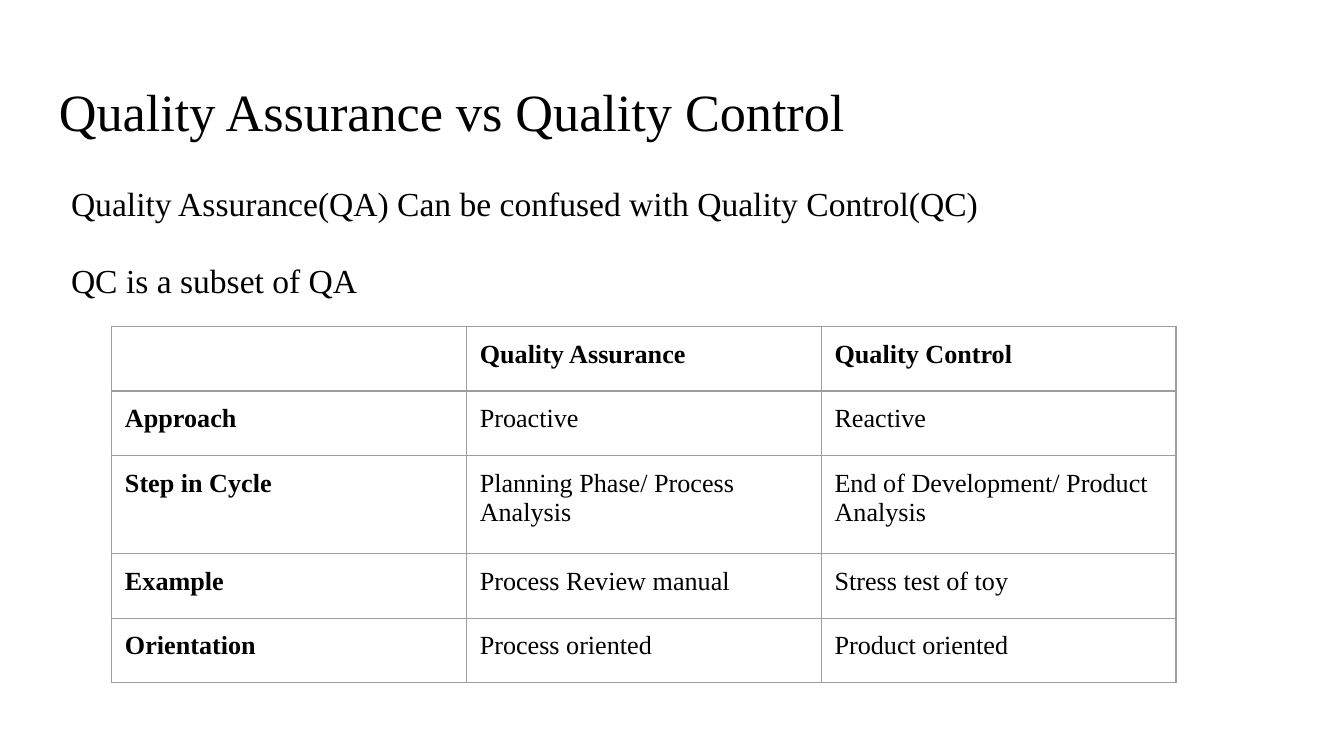
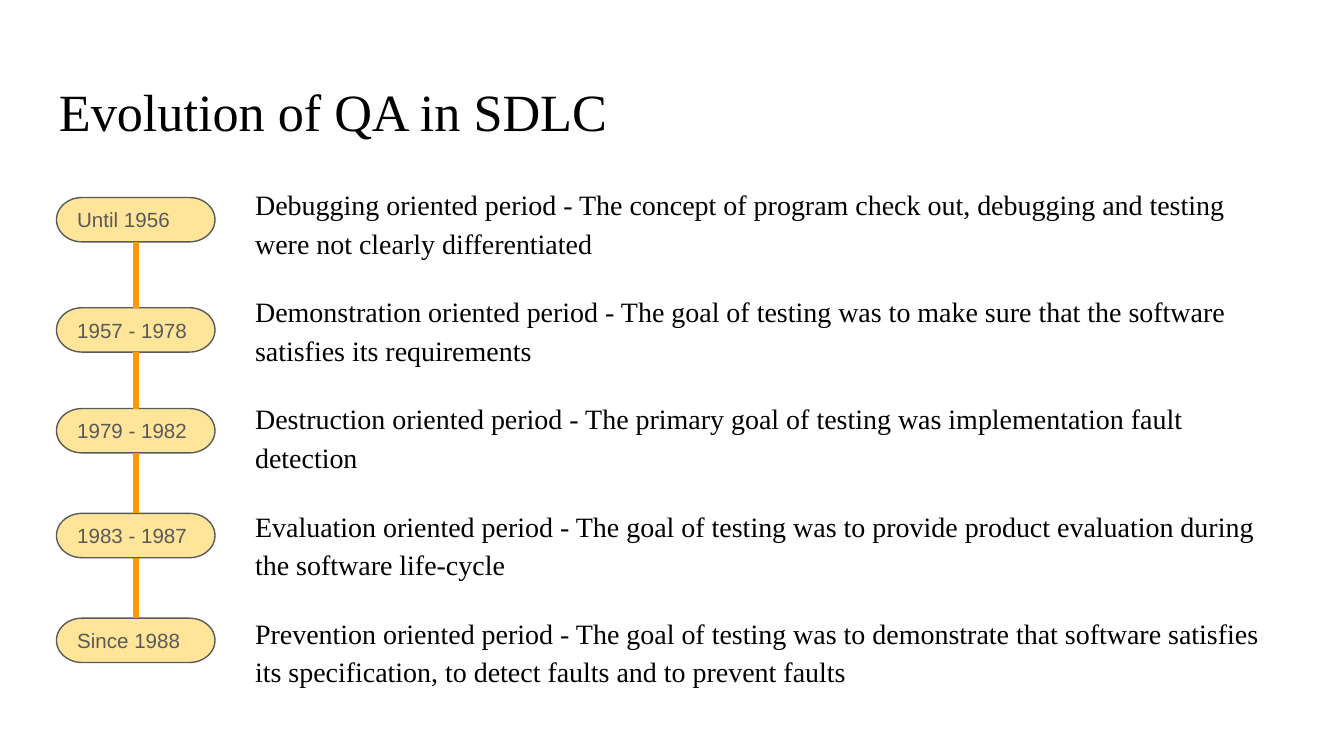
from dataclasses import dataclass
from itertools import pairwise
from lxml.etree import SubElement
from pptx import Presentation
from pptx.dml.color import RGBColor as RGB
from pptx.enum.shapes import MSO_CONNECTOR as CONNECTOR, MSO_SHAPE as SHAPE
from pptx.enum.text import MSO_ANCHOR as ANCHOR, PP_ALIGN as ALIGN
from pptx.oxml import parse_xml
from pptx.oxml.ns import nsdecls, qn
from pptx.util import Inches, Pt


@dataclass(frozen=True)
class Theme:
    serif: str = "Times New Roman"
    sans: str = "Arial"
    text: str = "000000"
    background: str = "FFFFFF"
    grid: str = "9E9E9E"
    badge: str = "FFE599"
    badge_ink: str = "595959"
    link: str = "FF9900"
    title_size: int = 28
    intro_size: int = 18
    period_size: int = 15
    cell_size: int = 14
    badge_size: int = 11
    thin: float = 0.75
    thick: float = 3
    inset: float = 0.1
    line_spacing: float = 1.15
    paragraph_gap: int = 16


THEME = Theme()

COMPARISON = {
    "title": "Quality Assurance vs Quality Control",
    "intro": [
        "Quality Assurance(QA) Can be confused with Quality Control(QC)",
        "QC is a subset of QA",
    ],
    "rows": [
        ("", "Quality Assurance", "Quality Control"),
        ("Approach", "Proactive", "Reactive"),
        ("Step in Cycle", "Planning Phase/ Process Analysis",
         "End of Development/ Product Analysis"),
        ("Example", "Process Review manual", "Stress test of toy"),
        ("Orientation", "Process oriented", "Product oriented"),
    ],
    "row_heights": [0.48, 0.48, 0.73, 0.48, 0.48],
}

EVOLUTION = {
    "title": "Evolution of QA in SDLC",
    "periods": [
        (1.47, "Until 1956", "Debugging oriented period - The concept of program check out, "
         "debugging and testing were not clearly differentiated"),
        (2.29, "1957 - 1978", "Demonstration oriented period - The goal of testing was to make "
         "sure that the software satisfies its requirements"),
        (3.04, "1979 - 1982", "Destruction oriented period - The primary goal of testing was "
         "implementation fault detection"),
        (3.82, "1983 - 1987", "Evaluation oriented period - The goal of testing was to provide "
         "product evaluation during the software life-cycle"),
        (4.60, "Since 1988", "Prevention oriented period - The goal of testing was to "
         "demonstrate that software satisfies its specification, to detect faults and to "
         "prevent faults"),
    ],
}


def set_insets(target):
    target.margin_left = target.margin_right = Inches(THEME.inset)
    target.margin_top = target.margin_bottom = Inches(THEME.inset)


def style_paragraph(paragraph, size, font=THEME.serif, color=THEME.text, bold=False):
    paragraph.alignment = ALIGN.LEFT
    for run in paragraph.runs:
        run.font.size = Pt(size)
        run.font.name = font
        run.font.bold = bold
        run.font.color.rgb = RGB.from_string(color)
    if not paragraph.runs:
        SubElement(paragraph._p, qn("a:endParaRPr"), sz=str(size * 100))


def add_text(slide, box, paragraphs, size, line_spacing=None):
    frame = slide.shapes.add_textbox(*map(Inches, box)).text_frame
    frame.word_wrap = True
    set_insets(frame)
    frame.text = "\n".join(paragraphs)
    for index, paragraph in enumerate(frame.paragraphs):
        style_paragraph(paragraph, size)
        if line_spacing:
            paragraph.line_spacing = line_spacing
        if index:
            paragraph.space_before = Pt(THEME.paragraph_gap)


def add_titled_slide(deck, title):
    slide = deck.slides.add_slide(deck.slide_layouts[6])
    slide.background.fill.solid()
    slide.background.fill.fore_color.rgb = RGB.from_string(THEME.background)
    add_text(slide, (0.34, 0.49, 9.32, 0.63), [title], THEME.title_size)
    return slide


def add_borders(cell):
    properties = cell._tc.get_or_add_tcPr()
    for index, side in enumerate(("lnL", "lnR", "lnT", "lnB")):
        properties.insert(index, parse_xml(
            f'<a:{side} {nsdecls("a")} w="{Pt(THEME.thin)}"><a:solidFill>'
            f'<a:srgbClr val="{THEME.grid}"/></a:solidFill></a:{side}>'))


def add_comparison_table(slide, left, top, column_width, rows, heights):
    width = column_width * len(rows[0])
    table = slide.shapes.add_table(
        len(rows), len(rows[0]),
        *map(Inches, (left, top, width, sum(heights)))).table
    table.first_row = table.horz_banding = False
    for column in table.columns:
        column.width = Inches(column_width)
    for r, (row, height) in enumerate(zip(rows, heights)):
        table.rows[r].height = Inches(height)
        for c, words in enumerate(row):
            cell = table.cell(r, c)
            cell.text = words
            set_insets(cell)
            cell.fill.background()
            add_borders(cell)
            style_paragraph(cell.text_frame.paragraphs[0], THEME.cell_size,
                            bold=r == 0 or c == 0)


def add_badge(slide, box, years):
    badge = slide.shapes.add_shape(SHAPE.FLOWCHART_TERMINATOR, *map(Inches, box))
    badge.shadow.inherit = False
    badge.fill.solid()
    badge.fill.fore_color.rgb = RGB.from_string(THEME.badge)
    badge.line.color.rgb = RGB.from_string(THEME.badge_ink)
    badge.line.width = Pt(THEME.thin)
    frame = badge.text_frame
    frame.word_wrap = True
    frame.vertical_anchor = ANCHOR.MIDDLE
    set_insets(frame)
    frame.text = years
    style_paragraph(frame.paragraphs[0], THEME.badge_size, THEME.sans, THEME.badge_ink)


def add_link(slide, x, start, end):
    link = slide.shapes.add_connector(
        CONNECTOR.STRAIGHT, *map(Inches, (x, start, x, end)))
    link.line.color.rgb = RGB.from_string(THEME.link)
    link.line.width = Pt(THEME.thick)
    SubElement(link._element.spPr, qn("a:effectLst"))


def add_timeline(slide, periods, left=0.42, width=1.18, height=0.33):
    for top, years, _ in periods:
        add_badge(slide, (left, top, width, height), years)
    for (top, *_), (next_top, *_) in pairwise(periods):
        add_link(slide, left + width / 2, top + height, next_top)


deck = Presentation()
deck.slide_width = Inches(10)
deck.slide_height = deck.slide_width * 9 // 16

comparison = add_titled_slide(deck, COMPARISON["title"])
add_text(comparison, (0.43, 1.22, 9.32, 3.74), COMPARISON["intro"],
         THEME.intro_size, THEME.line_spacing)
add_comparison_table(comparison, 0.83, 2.43, 2.64,
                     COMPARISON["rows"], COMPARISON["row_heights"])

evolution = add_titled_slide(deck, EVOLUTION["title"])
add_text(evolution, (1.8, 1.26, 7.86, 3.88),
         [description for *_, description in EVOLUTION["periods"]],
         THEME.period_size, THEME.line_spacing)
add_timeline(evolution, EVOLUTION["periods"])

deck.save("out.pptx")
